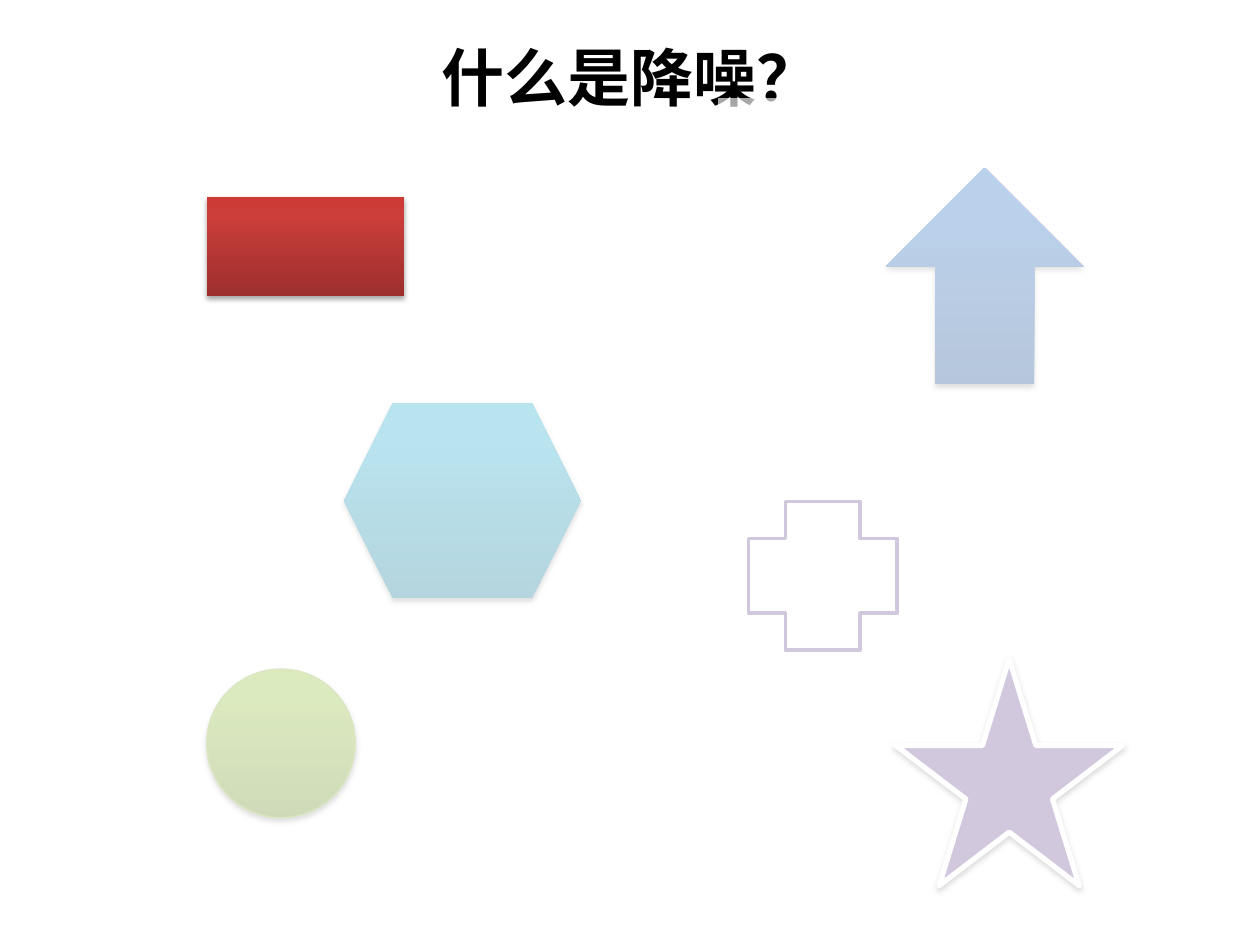
"""Build a slide of assorted shapes, with all but one faded by translucent panels."""
from pptx import Presentation
from pptx.dml.color import RGBColor
from pptx.enum.shapes import MSO_SHAPE
from pptx.enum.text import MSO_ANCHOR, PP_ALIGN
from pptx.oxml import parse_xml
from pptx.oxml.ns import nsdecls, qn
from pptx.util import Inches, Pt
from lxml.etree import SubElement

FONT = "Noto Sans CJK SC"
COLORS = {
    "black": "000000",
    "white": "FFFFFF",
    "purple": "8064A2",
    "lime": "98B955",
    "red": ("9C2F2D", "CB3E3A", "CE3B37"),
    "aqua": ("2A88A2", "37B1D2", "34B4D6"),
    "blue": ("2F5F99", "3D7CC7", "3A7CCB"),
    "green": ("779737", "9BC348", "9DC746"),
}


def draw(kind, box, fill, line=None, width=0):
    shape = slide.shapes.add_shape(kind, *[Inches(n) for n in box])
    shape.shadow.inherit = False
    tone = COLORS[fill]
    if isinstance(tone, tuple):
        stops = "".join(
            f'<a:gs pos="{pos}000"><a:srgbClr val="{color}"/></a:gs>'
            for pos, color in zip((0, 80, 100), tone)
        )
        shape._element.spPr.insert(2, parse_xml(
            f'<a:gradFill {nsdecls("a")} rotWithShape="1"><a:gsLst>{stops}</a:gsLst>'
            '<a:lin ang="16200000" scaled="0"/></a:gradFill>'
        ))
    else:
        shape.fill.solid()
        shape.fill.fore_color.rgb = RGBColor.from_string(tone)
    if line:
        shape.line.color.rgb = RGBColor.from_string(COLORS[line])
        shape.line.width = Pt(width)
    else:
        shape.line.fill.background()
    return shape


def shade(shape, alpha, dist):
    shape._element.spPr.find(qn("a:effectLst")).append(parse_xml(
        f'<a:outerShdw {nsdecls("a")} blurRad="{Pt(3.1)}" dist="{Pt(dist)}" '
        f'dir="5400000" rotWithShape="0"><a:srgbClr val="{COLORS["black"]}">'
        f'<a:alpha val="{alpha}000"/></a:srgbClr></a:outerShdw>'
    ))


deck = Presentation()
deck.slide_width, deck.slide_height = Inches(10), Inches(7.5)
slide = deck.slides.add_slide(deck.slide_layouts[5])

title = slide.shapes.title
title.left, title.top = Inches(0.5), Inches(0.21)
title.width, title.height = Inches(9), Inches(0.79)
frame = title.text_frame
frame.text = "什么是降噪？"
frame.vertical_anchor = MSO_ANCHOR.MIDDLE
para = frame.paragraphs[0]
para.alignment = PP_ALIGN.CENTER
font = para.font
font.size, font.bold, font.name = Pt(36), True, FONT
font.color.rgb = RGBColor.from_string(COLORS["black"])
SubElement(para._p.pPr.find(qn("a:defRPr")), qn("a:ea")).set("typeface", FONT)

for kind, box, fill, line, width in (
    (MSO_SHAPE.RECTANGLE, (1.64, 1.56, 1.57, 0.79), "red", None, 0),
    (MSO_SHAPE.HEXAGON, (2.73, 3.2, 1.88, 1.55), "aqua", None, 0),
    (MSO_SHAPE.UP_ARROW, (7.03, 1.33, 1.57, 1.72), "blue", None, 0),
    (MSO_SHAPE.OVAL, (1.64, 5.31, 1.18, 1.18), "green", "lime", 0.75),
):
    shade(draw(kind, box, fill, line, width), 35, 1.8)

draw(MSO_SHAPE.CROSS, (5.94, 3.98, 1.18, 1.18), "white", "purple", 2)
star = draw(MSO_SHAPE.STAR_5_POINT, (7.11, 5.23, 1.8, 1.8), "purple", "white", 3)
shade(star, 38, 1.6)

for box in ((0, 2.58, 10, 4.92), (5.7, 0.78, 3.59, 1.8)):
    veil = draw(MSO_SHAPE.RECTANGLE, box, "white")
    color = veil._element.spPr.find(qn("a:solidFill"))[0]
    SubElement(color, qn("a:alpha")).set("val", "65000")

deck.save("out.pptx")
